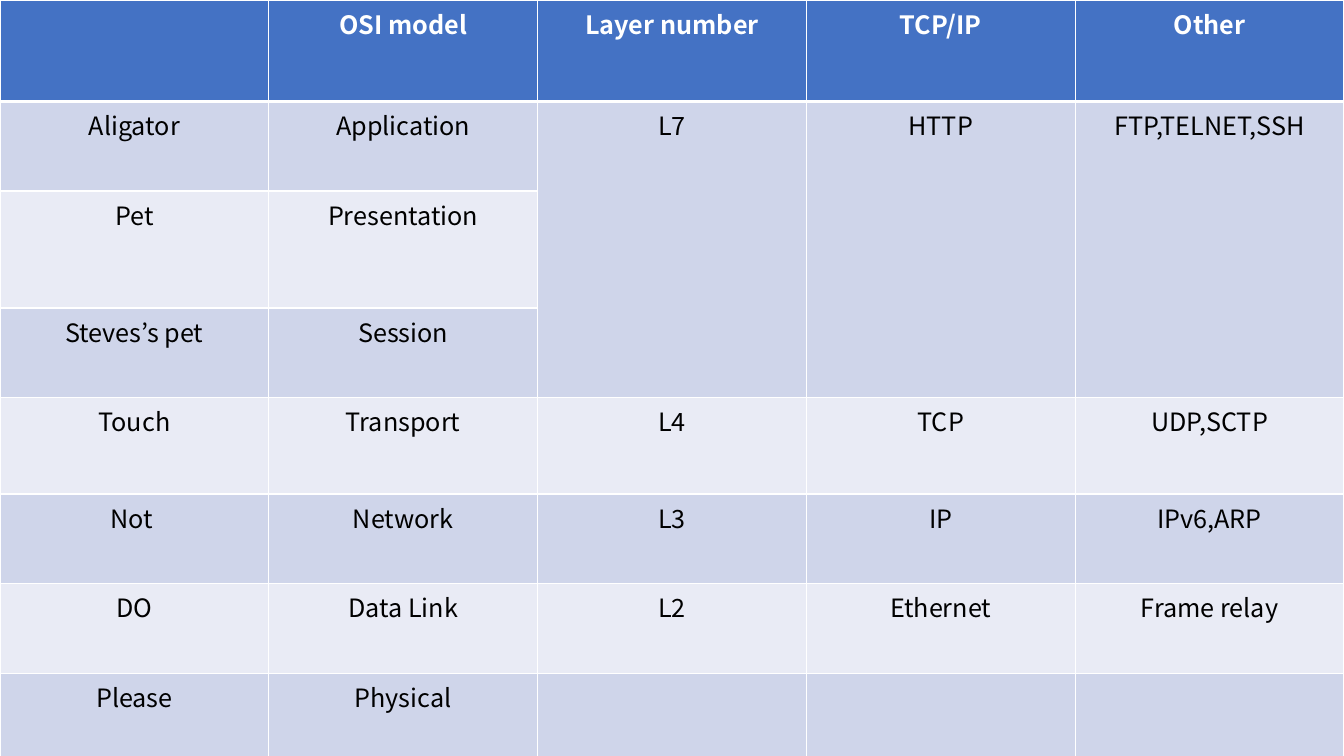
from lxml.etree import SubElement
from pptx import Presentation
from pptx.dml.color import RGBColor
from pptx.enum.text import PP_ALIGN
from pptx.oxml.ns import qn
from pptx.util import Pt

COLORS = {
    "header": "4472C4",
    "odd band": "CFD5EA",
    "even band": "E9EBF5",
    "border": "FFFFFF",
    "header text": "FFFFFF",
    "body text": "000000",
}
ROWS = [
    ["", "OSI model", "Layer number", "TCP/IP", "Other"],
    ["Aligator", "Application", "L7", "HTTP", "FTP,TELNET,SSH"],
    ["Pet", "Presentation", "", "", ""],
    ["Steves’s pet", "Session", "", "", ""],
    ["Touch", "Transport", "L4", "TCP", "UDP,SCTP"],
    ["Not ", "Network", "L3", "IP", "IPv6,ARP"],
    ["DO", "Data Link", "L2", "Ethernet", "Frame relay"],
    ["Please", "Physical", "", "", ""],
]
ROW_HEIGHTS = [72.5, 64, 83.5, 64, 69, 64, 64, 64]
SLIDE_WIDTH, SLIDE_HEIGHT = 960, 540


def add_border(cell, side, width):
    line = SubElement(cell._tc.get_or_add_tcPr(), qn(f"a:ln{side}"), w=str(Pt(width)))
    fill = SubElement(line, qn("a:solidFill"))
    SubElement(fill, qn("a:srgbClr"), val=COLORS["border"])


# Slide
presentation = Presentation()
presentation.slide_width = Pt(SLIDE_WIDTH)
presentation.slide_height = Pt(SLIDE_HEIGHT)
slide = presentation.slides.add_slide(presentation.slide_layouts[6])

# Table grid
column_count = len(ROWS[0])
table = slide.shapes.add_table(
    len(ROWS), column_count, Pt(0), Pt(0), Pt(SLIDE_WIDTH), Pt(sum(ROW_HEIGHTS))
).table
for column in table.columns:
    column.width = Pt(SLIDE_WIDTH / column_count)
for row, height in zip(table.rows, ROW_HEIGHTS):
    row.height = Pt(height)

# Cells: borders, banded fill and centred text
for row_index, texts in enumerate(ROWS):
    is_header = row_index == 0
    band = "header" if is_header else "odd band" if row_index % 2 else "even band"
    font_format = {"name": "Noto Sans CJK KR", "size": Pt(18), "bold": is_header}
    text_color = COLORS["header text" if is_header else "body text"]
    border_widths = {
        "L": 1,
        "R": 1,
        "T": 3 if row_index == 1 else 1,
        "B": 3 if is_header else 1,
    }
    for column_index, text in enumerate(texts):
        cell = table.cell(row_index, column_index)
        for side, width in border_widths.items():
            add_border(cell, side, width)
        cell.fill.solid()
        cell.fill.fore_color.rgb = RGBColor.from_string(COLORS[band])
        cell.text = text
        paragraph = cell.text_frame.paragraphs[0]
        paragraph.alignment = PP_ALIGN.CENTER
        for run in paragraph.runs:
            for name, value in font_format.items():
                setattr(run.font, name, value)
            run.font.color.rgb = RGBColor.from_string(text_color)

# The top three layers share one cell in each of the last three columns
for column_index in range(2, column_count):
    table.cell(1, column_index).merge(table.cell(3, column_index))

presentation.save("out.pptx")
